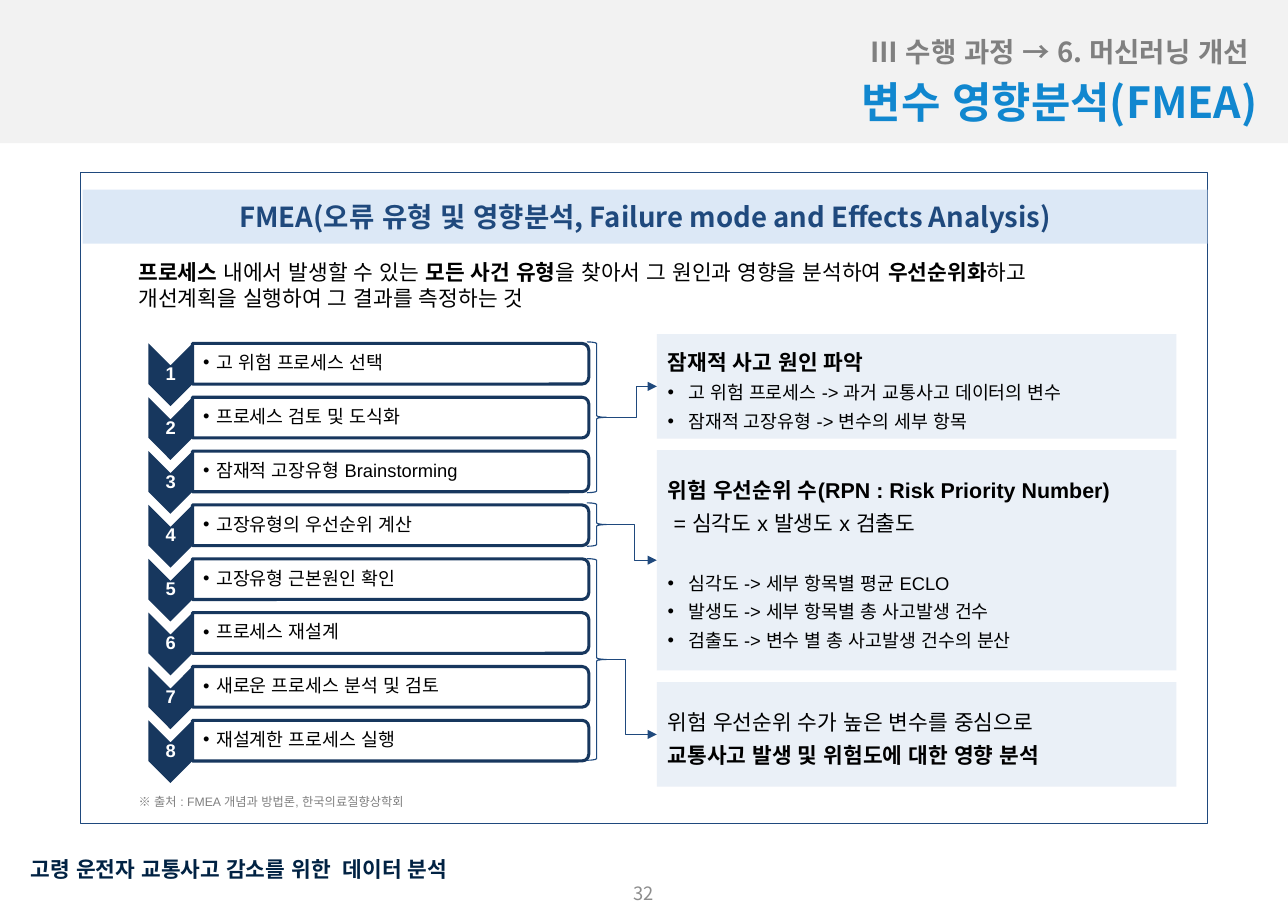
from lxml import etree
from pptx import Presentation
from pptx.dml.color import RGBColor
from pptx.enum.lang import MSO_LANGUAGE_ID as LANG
from pptx.enum.shapes import MSO_CONNECTOR as CONN, MSO_SHAPE as SHAPE
from pptx.enum.text import MSO_ANCHOR as ANCHOR, PP_ALIGN as ALIGN
from pptx.oxml.ns import qn
from pptx.util import Pt

NAVY, BLUE, BLACK, GREY = "17375E", "1F497D", "000000", "808080"
SANS, BODY = "Noto Sans CJK KR", "Arial"
rgb = RGBColor.from_string

prs = Presentation()
prs.slide_width, prs.slide_height = Pt(842.38), Pt(595.5)
slide = prs.slides.add_slide(prs.slide_layouts[6])


def add_shape(kind, x, y, w, h, fill=None, line=None, width=0.75, alpha=None, rotation=0):
    s = slide.shapes.add_shape(kind, Pt(x), Pt(y), Pt(w), Pt(h))
    s.shadow.inherit = False
    s.rotation = rotation
    if fill:
        s.fill.solid()
        s.fill.fore_color.rgb = rgb(fill)
        if alpha:
            color = s._element.spPr.find(".//" + qn("a:srgbClr"))
            etree.SubElement(color, qn("a:alpha"), val=str(alpha * 1000))
    else:
        s.fill.background()
    if line:
        s.line.color.rgb = rgb(line)
        s.line.width = Pt(width)
    else:
        s.line.fill.background()
    return s


def write(s, paragraphs, size=14, font=BODY, color=BLACK, bold=False,
          anchor=ANCHOR.MIDDLE, margins=(7.2, 3.6, 7.2, 3.6), **para_format):
    """Each paragraph is (text, extra format); text between * marks is bold."""
    tf = s.text_frame
    tf.word_wrap = True
    tf.vertical_anchor = anchor
    for side, value in zip(("left", "top", "right", "bottom"), margins):
        setattr(tf, "margin_" + side, Pt(value))
    for i, (text, extra) in enumerate(paragraphs):
        p = tf.paragraphs[0] if i == 0 else tf.add_paragraph()
        values = {"alignment": ALIGN.LEFT, **para_format, **extra}
        indent = values.pop("bullet", None)
        run_size = values.pop("size", size)
        for name, value in values.items():
            setattr(p, name, value)
        if indent:
            pPr = p._p.get_or_add_pPr()
            pPr.set("marL", str(Pt(indent)))
            pPr.set("indent", str(-Pt(indent)))
            etree.SubElement(pPr, qn("a:buFont"), typeface="Arial")
            etree.SubElement(pPr, qn("a:buChar"), char="•")
        for j, part in enumerate(text.split("*")):
            if not part:
                continue
            r = p.add_run()
            r.text = part
            run_format = {"size": Pt(run_size), "name": font, "bold": bold or j % 2 == 1,
                          "language_id": LANG.KOREAN}
            for name, value in run_format.items():
                setattr(r.font, name, value)
            r.font.color.rgb = rgb(color)
            rPr = r._r.get_or_add_rPr()
            rPr.set("kern", "0")
            etree.SubElement(rPr, qn("a:ea"), typeface=SANS)


# Header band and main frame
add_shape(SHAPE.RECTANGLE, 0, 0, 842.38, 93.6, "F2F2F2")
add_shape(SHAPE.RECTANGLE, 52.6, 112.6, 737.3, 425.5, line=BLUE)
banner = add_shape(SHAPE.RECTANGLE, 54, 124, 735.8, 35.3, "C6D9F1", alpha=60)
write(banner, [("FMEA(오류 유형 및 영향분석, Failure mode and Effects Analysis)", {})],
      size=18, font=SANS, color=BLUE, bold=True, alignment=ALIGN.CENTER)

# Free-standing texts: box, paragraphs, format
intro = ["*프로세스* 내에서 발생할 수 있는 *모든 사건 유형*을 찾아서 그 원인과 영향을 분석하여 *우선순위화*하고",
         "개선계획을 실행하여 그 결과를 측정하는 것"]
texts = [
    ((188, 19, 635.8, 28.8), ["Ⅲ 수행 과정 → 6. 머신러닝 개선"],
     dict(size=18, font=SANS, color=GREY, bold=True, alignment=ALIGN.RIGHT)),
    ((271.4, 46.1, 558, 41), ["변수 영향분석(FMEA)"],
     dict(size=28, font=SANS, color="1187CF", bold=True, alignment=ALIGN.RIGHT)),
    ((83.5, 166, 676, 49.7), intro, dict(anchor=ANCHOR.TOP)),
    ((83.5, 514.4, 400, 19), ["※ 출처 : FMEA 개념과 방법론, 한국의료질향상학회"], dict(size=8, color=GREY)),
    ((13, 555.8, 635.8, 24.5), ["고령 운전자 교통사고 감소를 위한  데이터 분석"],
     dict(font=SANS, color="012243", bold=True)),
    ((337, 569.2, 167.8, 28.8), ["32"],
     dict(size=12, font=SANS, color="8C8C8C", alignment=ALIGN.CENTER)),
]
for box, lines, style in texts:
    write(slide.shapes.add_textbox(*map(Pt, box)), [(line, {}) for line in lines], **style)

# Eight process steps
steps = ["고 위험 프로세스 선택", "프로세스 검토 및 도식화", "잠재적 고장유형 Brainstorming",
         "고장유형의 우선순위 계산", "고장유형 근본원인 확인", "프로세스 재설계",
         "새로운 프로세스 분석 및 검토", "재설계한 프로세스 실행"]
for i, step in enumerate(steps):
    dy = 35.2 * i
    add_shape(SHAPE.CHEVRON, 91, 230.6 + dy, 41, 28.8, NAVY, rotation=90)
    number = slide.shapes.add_textbox(Pt(97.2), Pt(238.7 + dy), Pt(28.8), Pt(12.2))
    write(number, [(str(i + 1), {})], size=12, color="FFFFFF", bold=True,
          margins=(0.7,) * 4, alignment=ALIGN.CENTER, line_spacing=0.9)
    add_shape(SHAPE.ROUND_2_SAME_RECTANGLE, 242.2, 108.2 + dy, 26.6, 259.2,
              "FFFFFF", NAVY, 2, rotation=90)
    label = slide.shapes.add_textbox(Pt(126.3), Pt(225.5 + dy), Pt(257.8), Pt(24.5))
    write(label, [(step, {"bullet": 8.6})], size=12,
          margins=(6.5, 0.7, 0.7, 0.7), line_spacing=0.9)

# Explanation panels: top, height, paragraphs
item = {"size": 12, "bullet": 13.5}
panels = [
    (218.4, 68.4, [("*잠재적 사고 원인 파악*", {}),
                   ("고 위험 프로세스 -> 과거 교통사고 데이터의 변수", item),
                   ("잠재적 고장유형 -> 변수의 세부 항목", item)]),
    (294.2, 144, [("*위험 우선순위 수(RPN : Risk Priority Number)*", {}),
                  (" = 심각도 x 발생도 x 검출도", {}),
                  ("심각도 -> 세부 항목별 평균 ECLO", {**item, "space_before": Pt(19)}),
                  ("발생도 -> 세부 항목별 총 사고발생 건수", item),
                  ("검출도 -> 변수 별 총 사고발생 건수의 분산", item)]),
    (445.9, 68.4, [("위험 우선순위 수가 높은 변수를 중심으로", {}),
                   ("*교통사고 발생 및 위험도에 대한 영향 분석*", {})]),
]
for top, height, paragraphs in panels:
    panel = add_shape(SHAPE.RECTANGLE, 429.6, top, 339.8, height, "DCE6F2", alpha=60)
    write(panel, paragraphs, line_spacing=1.3)

# Braces, each with an elbow arrow to its panel: top, height, bend
braces = [(223.5, 98.6, 0.6), (328.7, 28.4, 0.55), (365.2, 131.8, 0.38)]
for (top, height, bend), (panel_top, panel_height, _) in zip(braces, panels):
    add_shape(SHAPE.RIGHT_BRACE, 383.8, top, 12.8, height, line=BLUE)
    c = slide.shapes.add_connector(CONN.ELBOW, Pt(396.6), Pt(top + height / 2),
                                   Pt(429.6), Pt(panel_top + panel_height / 2))
    c.line.color.rgb = rgb(BLUE)
    c.line.width = Pt(0.75)
    spPr = c._element.spPr
    etree.SubElement(spPr.find(qn("a:ln")), qn("a:tailEnd"), type="triangle")
    etree.SubElement(spPr, qn("a:effectLst"))
    guides = spPr.find(qn("a:prstGeom")).get_or_add_avLst()
    etree.SubElement(guides, qn("a:gd"), name="adj1", fmla=f"val {round(bend * 100000)}")

prs.save("out.pptx")
